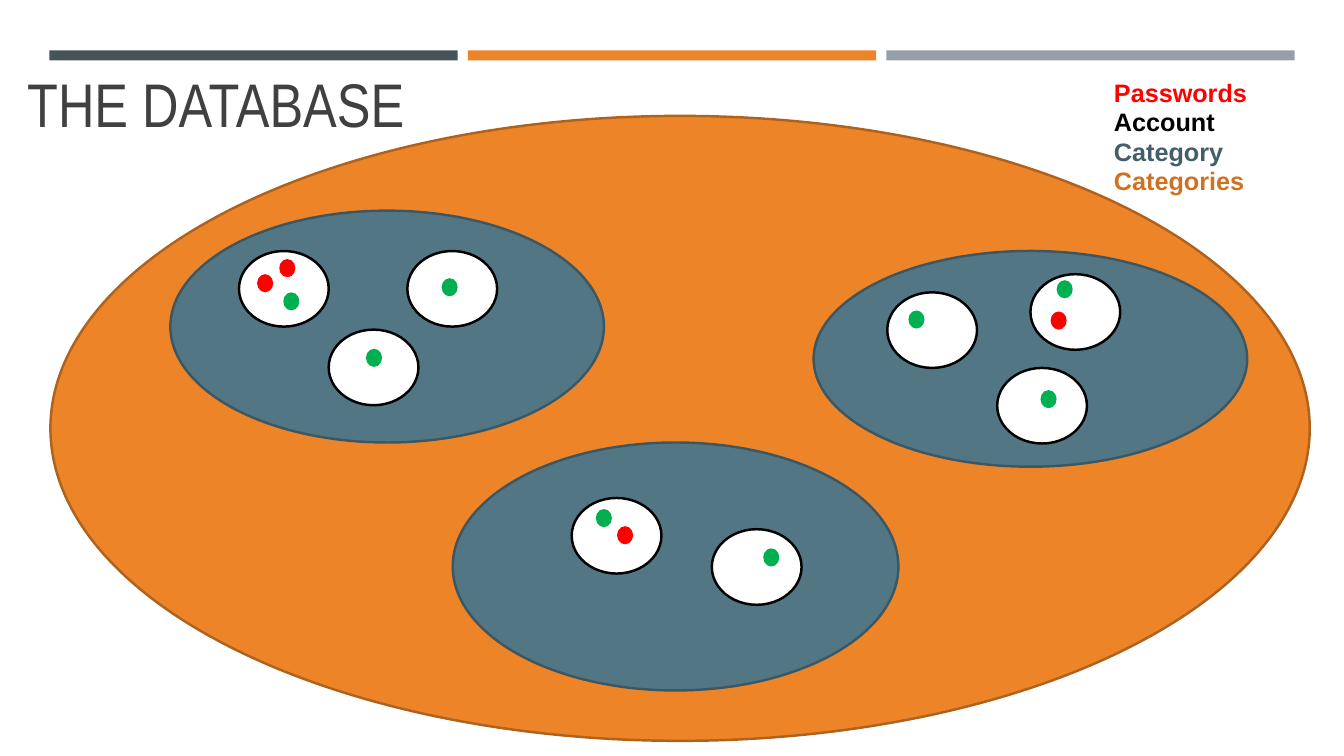
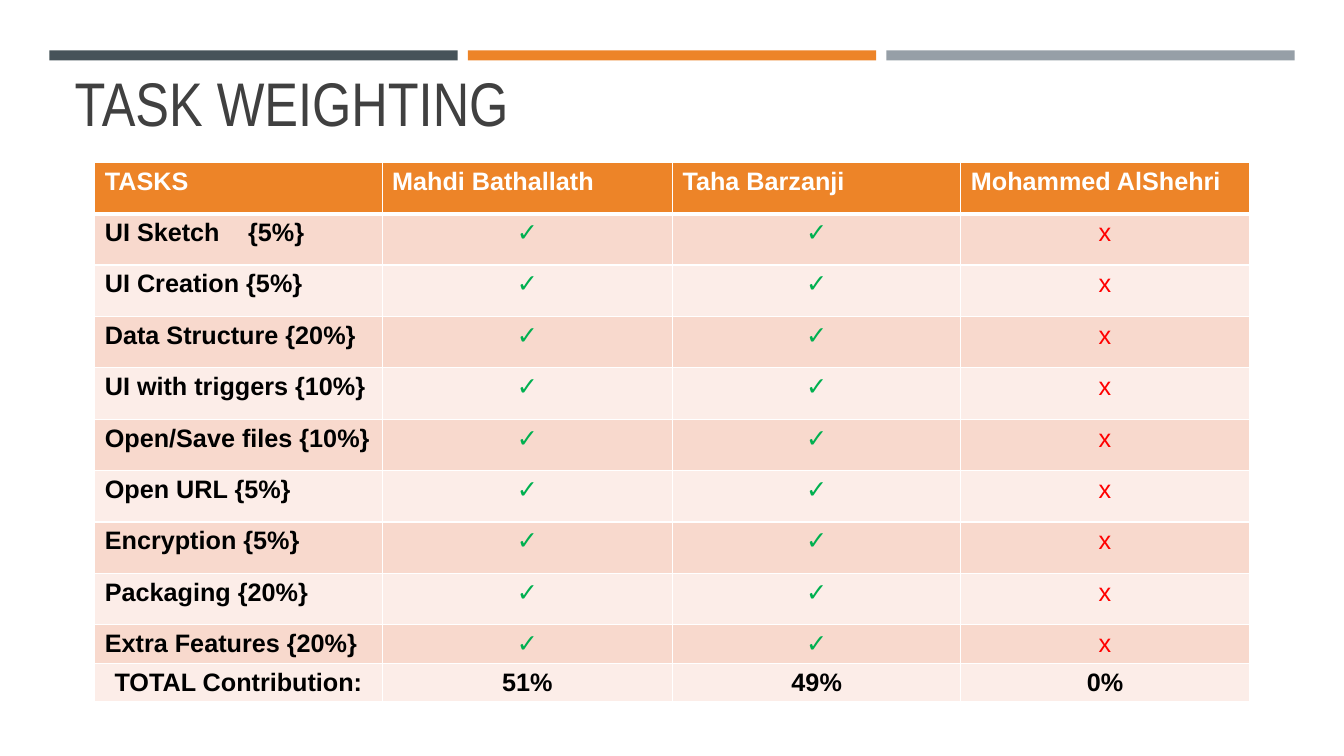
"""Build two slides: a nested-oval database diagram and a task weighting table."""
from lxml import etree
from pptx import Presentation
from pptx.dml.color import RGBColor
from pptx.enum.shapes import MSO_SHAPE
from pptx.enum.text import MSO_ANCHOR, MSO_AUTO_SIZE, PP_ALIGN
from pptx.oxml.ns import qn
from pptx.util import Inches, Pt

OVAL, RECTANGLE = MSO_SHAPE.OVAL, MSO_SHAPE.RECTANGLE
LEFT, CENTER = PP_ALIGN.LEFT, PP_ALIGN.CENTER
BOTTOM, NO_AUTOFIT = MSO_ANCHOR.BOTTOM, MSO_AUTO_SIZE.NONE

ORANGE = RGBColor(0xED, 0x84, 0x28)
ORANGE_EDGE = RGBColor(0xAF, 0x62, 0x1E)
ORANGE_TEXT = RGBColor(0xCE, 0x72, 0x21)
TEAL = RGBColor(0x53, 0x76, 0x85)
TEAL_EDGE = RGBColor(0x3D, 0x57, 0x62)
TEAL_TEXT = RGBColor(0x41, 0x5E, 0x6A)
SLATE = RGBColor(0x46, 0x53, 0x59)
GREY = RGBColor(0x96, 0x9F, 0xA7)
TITLE_GREY = RGBColor(0x40, 0x40, 0x40)
WHITE = RGBColor(0xFF, 0xFF, 0xFF)
BLACK = RGBColor(0, 0, 0)
RED = RGBColor(0xFF, 0, 0)
GREEN = RGBColor(0, 0xB0, 0x50)
PEACH = RGBColor(0xF8, 0xD9, 0xCD)
PALE_PEACH = RGBColor(0xFC, 0xED, 0xE8)

BODY_FONT, TITLE_FONT = "Arial", "Arial Narrow"


def add_figure(slide, preset, box, fill, edge=None):
    figure = slide.shapes.add_shape(preset, *map(Inches, box))
    figure.shadow.inherit = False
    figure.fill.solid()
    figure.fill.fore_color.rgb = fill
    if edge is None:
        figure.line.fill.background()
    else:
        figure.line.color.rgb = edge
        figure.line.width = Pt(1.75)
    return figure


def write(frame, text, color, size=18, bold=True, font=BODY_FONT, align=LEFT):
    frame.text = text
    paragraph = frame.paragraphs[0]
    paragraph.alignment = align
    style = paragraph.runs[0].font
    style.name, style.size, style.bold = font, Pt(size), bold
    style.color.rgb = color
    return paragraph


prs = Presentation()
prs.slide_width, prs.slide_height = Inches(13.33), Inches(7.5)
title_only = prs.slide_layouts[5]

slides = []
for heading, left, top, height in [("THE DATABASE", 0.17, 0.67, 0.78),
                                   ("TASK WEIGHTING", 0.64, 0.14, 1.3)]:
    slide = prs.slides.add_slide(title_only)
    title = slide.shapes.title
    title.left, title.top = Inches(left), Inches(top)
    title.width, title.height = Inches(12.06), Inches(height)
    title.text_frame.vertical_anchor = BOTTOM
    title.text_frame.auto_size = NO_AUTOFIT
    line = write(title.text_frame, heading, TITLE_GREY, 44, False, TITLE_FONT)
    line.line_spacing = 0.9
    slides.append(slide)
database, weighting = slides

for column, color in enumerate([SLATE, ORANGE, GREY]):
    band = add_figure(database, RECTANGLE, (0.49 + 4.15 * column, 0.5, 4.05, 0.1), color)
    title_only.shapes.element.append(band.element)

ACCOUNT_SIZE = (0.89, 0.75)
DOT_SIZE = (0.16, 0.18)
categories = [
    ((1.69, 2.09, 4.3, 2.3), [
        ((2.37, 2.49), [(2.55, 2.72, RED), (2.77, 2.57, RED), (2.81, 2.9, GREEN)]),
        ((4.04, 2.49), [(4.38, 2.76, GREEN)]),
        ((3.26, 3.27), [(3.63, 3.46, GREEN)]),
    ]),
    ((4.49, 4.39, 4.42, 2.46), [
        ((5.67, 4.94), [(5.91, 5.05, GREEN), (6.12, 5.22, RED)]),
        ((7.06, 5.25), [(7.57, 5.44, GREEN)]),
    ]),
    ((8.07, 2.49, 4.3, 2.14), [
        ((9.89, 3.65), [(10.32, 3.87, GREEN)]),
        ((10.22, 2.72), [(10.48, 2.78, GREEN), (10.42, 3.09, RED)]),
        ((8.8, 2.9), [(9.01, 3.08, GREEN)]),
    ]),
]
add_figure(database, OVAL, (0.5, 1.15, 12.49, 6.2), ORANGE, ORANGE_EDGE)
for category_box, accounts in categories:
    add_figure(database, OVAL, category_box, TEAL, TEAL_EDGE)
    for account_place, dots in accounts:
        add_figure(database, OVAL, account_place + ACCOUNT_SIZE, WHITE, BLACK)
        for x, y, color in dots:
            add_figure(database, OVAL, (x, y) + DOT_SIZE, color)

legend = [("Passwords", RED), ("Account", BLACK),
          ("Category", TEAL_TEXT), ("Categories", ORANGE_TEXT)]
for row, (label, color) in enumerate(legend):
    entry = database.shapes.add_textbox(
        Inches(10.95), Inches(0.72 + 0.29 * row), Inches(3.49), Inches(0.4))
    entry.text_frame.word_wrap = True
    write(entry.text_frame, label, color)

tasks = ["UI Sketch\t{5%}", "UI Creation {5%}", "Data Structure {20%}",
         "UI with triggers {10%}", "Open/Save files {10%}", "Open URL {5%}",
         "Encryption {5%}", "Packaging {20%}", "Extra Features {20%}"]
rows = [["TASKS", "Mahdi Bathallath", "Taha Barzanji", "Mohammed AlShehri"]]
rows += [[task, "✓", "✓", "x"] for task in tasks]
rows += [["TOTAL Contribution:", "51%", "49%", "0%"]]
column_widths = [2.85, 2.88, 2.86, 2.86]
row_heights = [0.51] * 9 + [0.37] * 2
mark_colors = {"✓": GREEN, "x": RED}

table = weighting.shapes.add_table(
    len(rows), len(column_widths), Inches(0.94), Inches(1.61),
    Inches(sum(column_widths)), Inches(sum(row_heights))).table
for column, width in zip(table.columns, column_widths):
    column.width = Inches(width)
for row, height in zip(table.rows, row_heights):
    row.height = Inches(height)

for r, texts in enumerate(rows):
    for c, text in enumerate(texts):
        cell = table.cell(r, c)
        cell.fill.solid()
        cell.fill.fore_color.rgb = ORANGE if r == 0 else PEACH if r % 2 else PALE_PEACH
        color = WHITE if r == 0 else mark_colors.get(text, BLACK)
        centered = r == len(rows) - 1 or (r > 0 and c > 0)
        paragraph = write(cell.text_frame, text, color, bold=text != "x",
                          align=CENTER if centered else LEFT)
        if "\t" in text:
            stops = etree.SubElement(paragraph._p.get_or_add_pPr(), qn("a:tabLst"))
            etree.SubElement(stops, qn("a:tab"), pos=str(Inches(1.42)), algn="l")
        borders = [("a:lnL", 1), ("a:lnR", 1),
                   ("a:lnT", 3 if r == 1 else 1), ("a:lnB", 3 if r == 0 else 1)]
        properties = cell._tc.get_or_add_tcPr()
        for position, (side, points) in enumerate(borders):
            border = etree.Element(qn(side), w=str(Pt(points)))
            paint = etree.SubElement(border, qn("a:solidFill"))
            etree.SubElement(paint, qn("a:srgbClr"), val=str(WHITE))
            properties.insert(position, border)

prs.save("out.pptx")
